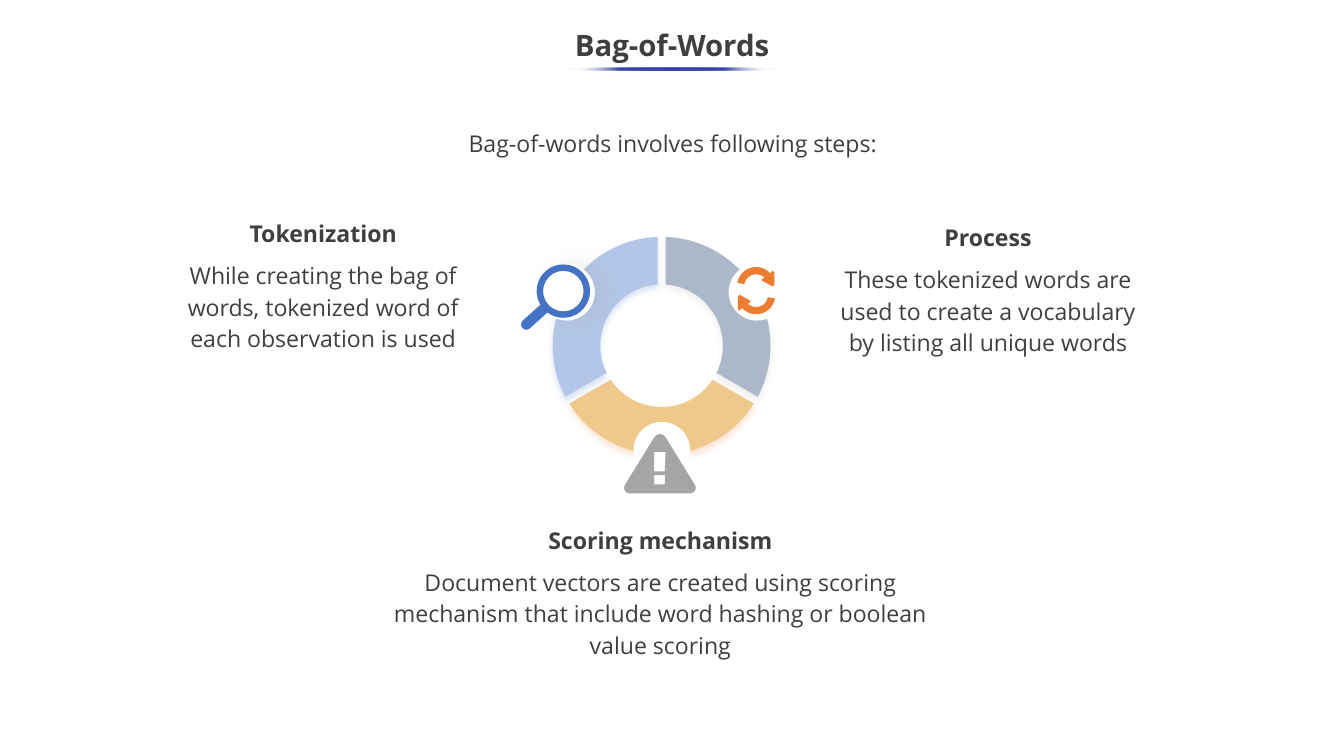
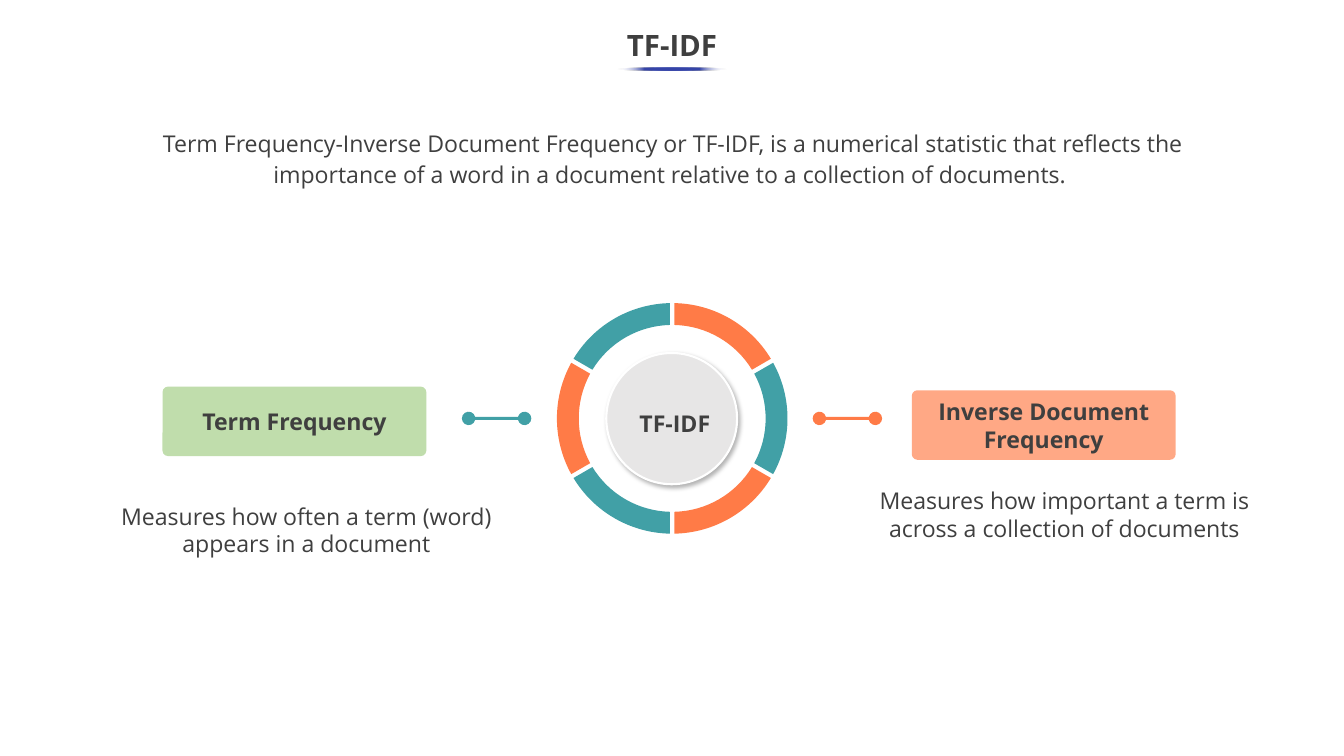
"""Build two slides on bag-of-words and TF-IDF."""
import math

from lxml import etree
from pptx import Presentation
from pptx.dml.color import RGBColor
from pptx.enum import shapes, text
from pptx.oxml.ns import qn
from pptx.util import Pt

FONT = "Open Sans"
WIDTH, HEIGHT = 1280.16, 720
INK = RGBColor(0x3F, 0x3F, 0x3F)
WHITE = RGBColor(0xFF, 0xFF, 0xFF)
INDIGO = RGBColor(0x36, 0x45, 0xA9)
SLATE = RGBColor(0xAC, 0xB8, 0xCA)
SAND = RGBColor(0xEF, 0xC8, 0x8B)
SKY = RGBColor(0xB3, 0xC6, 0xE7)
GREY = RGBColor(0xA5, 0xA5, 0xA5)
BLUE = RGBColor(0x44, 0x72, 0xC4)
ORANGE = RGBColor(0xED, 0x7D, 0x31)
CORAL = RGBColor(0xFF, 0x7B, 0x47)
TEAL = RGBColor(0x41, 0xA0, 0xA6)
GREEN = RGBColor(0xA9, 0xD1, 0x8E)
PALE = RGBColor(0xE7, 0xE6, 0xE6)
BLACK = RGBColor(0, 0, 0)


def write(frame, words, size=22, bold=False, spacing=1.0, before=0):
    paragraph = frame.paragraphs[0] if not frame.text else frame.add_paragraph()
    paragraph.text = words
    paragraph.alignment = text.PP_ALIGN.CENTER
    paragraph.line_spacing = spacing
    paragraph.space_before = Pt(before)
    font = paragraph.font
    font.name, font.size, font.bold = FONT, Pt(size), bold
    font.color.rgb = INK


def lines(*points):
    return [[point] for point in points]


def arc(center, radius, start, end):
    pieces = max(1, math.ceil(abs(end - start) / 60))
    sweep = math.radians(end - start) / pieces
    pull = 4 / 3 * math.tan(sweep / 4)

    def spot(angle, lean):
        sine, cosine = math.sin(angle), math.cos(angle)
        return (center[0] + radius * (sine + lean * cosine),
                center[1] + radius * (lean * sine - cosine))

    angles = [math.radians(start) + sweep * i for i in range(pieces + 1)]
    curves = [[spot(a, pull), spot(b, -pull), spot(b, 0)] for a, b in zip(angles, angles[1:])]
    return [[spot(angles[0], 0)]] + curves


def add_color(parent, color, alpha):
    element = etree.SubElement(parent, qn("a:srgbClr"), val=str(color))
    etree.SubElement(element, qn("a:alpha"), val=str(alpha * 1000))


class Deck:
    def __init__(self):
        self.presentation = Presentation()
        self.presentation.slide_width = Pt(WIDTH)
        self.presentation.slide_height = Pt(HEIGHT)
        self.slide = None

    def new_slide(self, title, underline_width, lead):
        self.slide = self.presentation.slides.add_slide(self.presentation.slide_layouts[5])
        shape = self.slide.shapes.title
        shape.left, shape.top, shape.width, shape.height = map(Pt, (-0.7, 18, 1281.6, 54))
        frame = shape.text_frame
        frame.auto_size = text.MSO_AUTO_SIZE.NONE
        frame.vertical_anchor = text.MSO_ANCHOR.MIDDLE
        write(frame, title, size=28, bold=True, spacing=0.9)
        self.underline(underline_width)
        self.box((101.5, 119.4, 1078.6, 71.3), [(lead, False)], spacing=1.14, margins=(7.2, 0))

    def underline(self, width):
        shape = self.preset("OVAL", ((WIDTH - width) / 2, 64, width, 3), INDIGO)
        shape.fill.gradient()
        shape.fill.gradient_angle = 180
        stops = shape._element.spPr.find(qn("a:gradFill")).find(qn("a:gsLst"))
        for stop in list(stops):
            stops.remove(stop)
        for position in range(0, 101, 25):
            stop = etree.SubElement(stops, qn("a:gs"), pos=str(position * 1000))
            at_end = position in (0, 100)
            add_color(stop, WHITE if at_end else INDIGO, 0 if at_end else 100)

    def box(self, place, paragraphs, spacing=1.0, margins=(7.2, 3.6)):
        shape = self.slide.shapes.add_textbox(*map(Pt, place))
        frame = shape.text_frame
        frame.word_wrap = True
        frame.margin_left = frame.margin_right = Pt(margins[0])
        frame.margin_top = frame.margin_bottom = Pt(margins[1])
        for index, (words, bold) in enumerate(paragraphs):
            write(frame, words, bold=bold, spacing=spacing, before=10 if index else 0)

    def step(self, place, heading, body):
        self.box(place, [(heading, True), (body, False)], spacing=1.14, margins=(11.5, 5.8))

    def paint(self, shape, fill, alpha=100, line=None, shadow=None):
        shape.fill.solid()
        shape.fill.fore_color.rgb = fill
        if alpha < 100:
            color = shape._element.spPr.find(qn("a:solidFill"))[0]
            etree.SubElement(color, qn("a:alpha"), val=str(alpha * 1000))
        if line:
            shape.line.color.rgb = line
            shape.line.width = Pt(2)
        else:
            shape.line.fill.background()
        shape.shadow.inherit = False
        if shadow:
            color, opacity, blur, distance, direction = shadow
            effects = shape._element.spPr.find(qn("a:effectLst"))
            outer = etree.SubElement(
                effects, qn("a:outerShdw"), blurRad=str(Pt(blur)), dist=str(Pt(distance)),
                dir=str(direction * 60000), algn="ctr", rotWithShape="0")
            add_color(outer, color, opacity)
        return shape

    def preset(self, kind, place, fill, **style):
        shape = self.slide.shapes.add_shape(shapes.MSO_SHAPE[kind], *map(Pt, place))
        return self.paint(shape, fill, **style)

    def outline(self, contours, fill, **style):
        builder = None
        for contour in contours:
            points = [(Pt(x), Pt(y)) for step in contour for x, y in step]
            if builder:
                builder.move_to(*points[0])
            else:
                builder = self.slide.shapes.build_freeform(*points[0])
            builder.add_line_segments(points[1:], close=True)
        shape = builder.convert_to_shape()
        segments = iter(list(shape._element.iter(qn("a:lnTo"))))
        for step in [step for contour in contours for step in contour[1:]]:
            segment = next(segments)
            if len(step) == 3:
                segment.tag = qn("a:cubicBezTo")
                for extra in (next(segments), next(segments)):
                    segment.append(extra[0])
                    extra.getparent().remove(extra)
        return self.paint(shape, fill, **style)

    def ring(self, center, outer, inner, gap, colors, shadows=None):
        sweep = 360 / len(colors)
        trim_outer, trim_inner = (math.degrees(math.asin(gap / 2 / r)) for r in (outer, inner))
        for index, color in enumerate(colors):
            start, end = index * sweep, (index + 1) * sweep
            edge = arc(center, outer, start + trim_outer, end - trim_outer)
            edge += arc(center, inner, end - trim_inner, start + trim_inner)
            shadow = (shadows[index], 20, 6, 4, 90) if shadows else None
            self.outline([edge], color, shadow=shadow)

    def label(self, place, words, fill, alpha):
        shape = self.preset("ROUNDED_RECTANGLE", place, fill, alpha=alpha)
        shape.adjustments[0] = 0.08
        frame = shape.text_frame
        frame.word_wrap = True
        frame.vertical_anchor = text.MSO_ANCHOR.MIDDLE
        write(frame, words, bold=True)

    def dumbbell(self, left, right, y, color):
        edge = arc((left, y), 6.4, 103, 437) + arc((right, y), 6.4, 283, 617)
        self.outline([edge], color)

    def magnifier(self, lens, direction=228):
        radius, handle = 25.4, 5
        tip = arc(lens, 47.5, direction, direction)[0][0]
        trim = math.degrees(math.asin(handle / radius))
        edge = arc(lens, radius, direction + trim, direction + 360 - trim)
        edge += arc(tip, handle, direction - 90, direction + 90)
        self.outline([edge, arc(lens, 19.3, 0, 360)], BLUE)

    def cycle(self, middle):
        x, y = middle
        hub = (x, y - 4.3)
        head = [(15.5, -19), (17.3, -17.6), (17.3, -5.4), (15.8, -4), (5, -9.8), (6.5, -11.8)]
        upper = arc(hub, 18.2, -80, 48) + lines(*[(x + dx, y + dy) for dx, dy in head])
        upper += arc(hub, 11.4, 45, -80)
        lower = [[(2 * x - px, 2 * y - py) for px, py in step] for step in upper]
        for arrow in (upper, lower):
            self.outline([arrow], ORANGE)

    def warning(self):
        edge = arc((628.6, 419.3), 6, -60, 60)
        edge += arc((657.5, 464.7), 5.3, 60, 180) + arc((599.7, 464.7), 5.3, 180, 300)
        bar = lines((623.2, 430.5), (634, 430.5), (633.2, 449), (623.2, 449))
        dot = lines((623.2, 452.5), (633.2, 452.5), (633.2, 461.3), (623.2, 461.3))
        self.outline([edge, bar, dot], GREY)


def bag_of_words(deck):
    deck.new_slide("Bag-of-Words", 198.7, "Bag-of-words involves following steps:")
    deck.ring((630.2, 329.3), 103.7, 58.4, 7.6, [SLATE, SAND, SKY], [GREY, ORANGE, BLUE])
    for left, top, shadow in ((512.6, 251.3, (GREY, 20, 20, 10, 0)),
                              (603.4, 401.8, None), (694, 251.3, None)):
        deck.preset("OVAL", (left, top, 54, 54), WHITE, shadow=shadow)
    deck.step((158.4, 199.6, 298.8, 153.4), "Tokenization",
              "While creating the bag of words, tokenized word of each observation is used")
    deck.step((777.6, 203.3, 326.9, 153.4), "Process",
              "These tokenized words are used to create a vocabulary by listing all unique words")
    deck.step((353.2, 491.4, 551.5, 153.4), "Scoring mechanism",
              "Document vectors are created using scoring mechanism that include "
              "word hashing or boolean value scoring")
    deck.warning()
    deck.magnifier((536.6, 277.3))
    deck.cycle((720.2, 276.8))


def tf_idf(deck):
    deck.new_slide("TF-IDF", 103.7,
                   "Term Frequency-Inverse Document Frequency or TF-IDF, is a numerical statistic "
                   "that reflects the importance of a word in a document relative to a collection "
                   "of documents. ")
    deck.box((101.7, 474.5, 380.2, 60.5),
             [("Measures how often a term (word) appears in a document", False)])
    deck.box((823.7, 460.1, 380.2, 60.5),
             [("Measures how important a term is across a collection of documents", False)])
    deck.dumbbell(780.5, 833.8, 398.5, CORAL)
    deck.dumbbell(446.4, 499.7, 398.5, TEAL)
    deck.ring((640.3, 398.5), 109.8, 89, 4.3, [CORAL, TEAL] * 3)
    deck.label((154.8, 368.2, 251.3, 66.2), "Term Frequency", GREEN, 73)
    deck.label((868.5, 371.7, 251.3, 66.2), "Inverse Document Frequency", CORAL, 66)
    deck.preset("OVAL", (577.5, 336.2, 124.6, 125), PALE, line=WHITE,
                shadow=(BLACK, 29, 4.5, 2.6, 53))
    deck.box((595.6, 386, 94.3, 33.8), [("TF-IDF", True)])


def main():
    deck = Deck()
    bag_of_words(deck)
    tf_idf(deck)
    deck.presentation.save("out.pptx")


if __name__ == "__main__":
    main()
